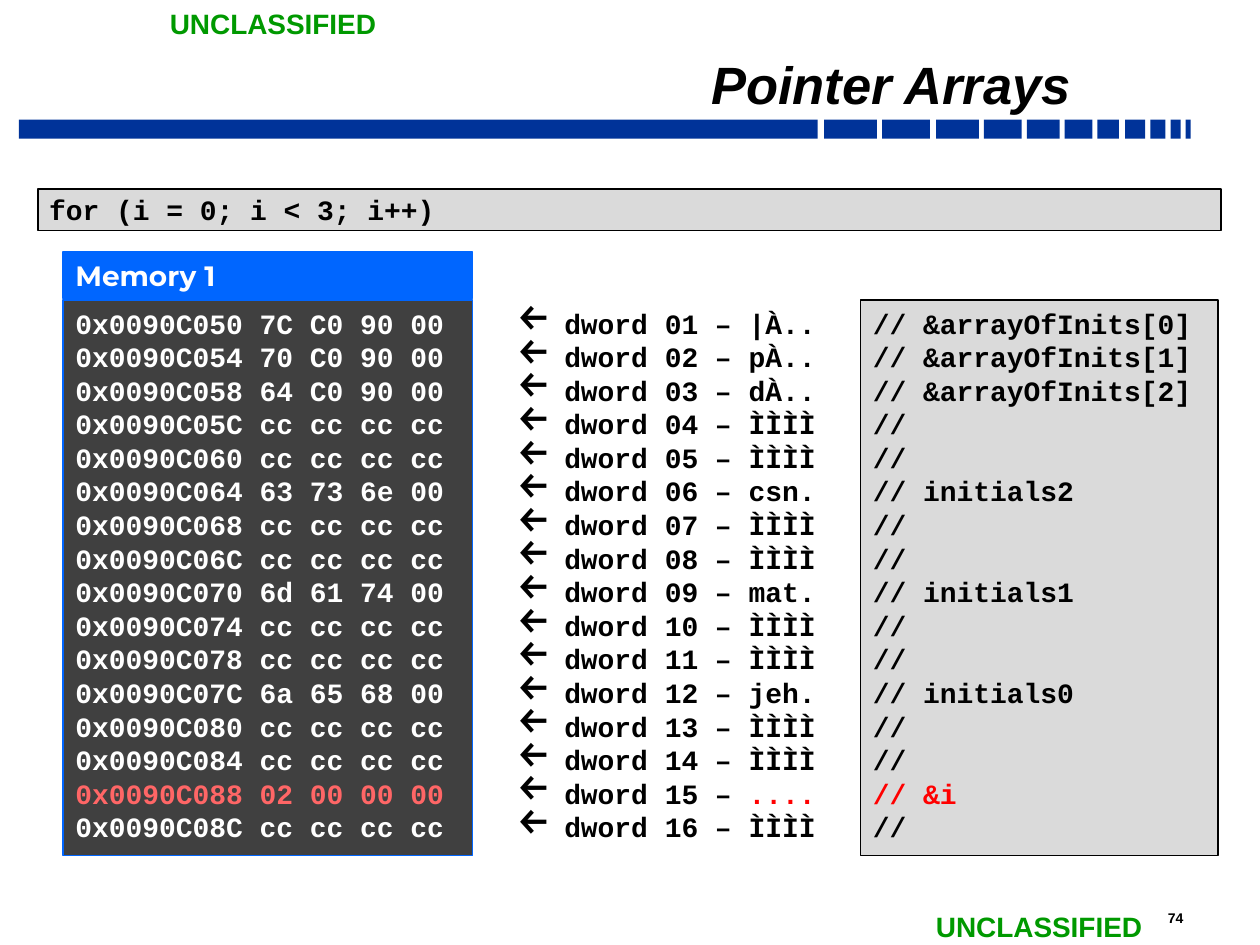
from lxml.etree import SubElement
from pptx import Presentation
from pptx.dml.color import RGBColor
from pptx.enum.shapes import MSO_SHAPE
from pptx.enum.text import MSO_ANCHOR, PP_ALIGN
from pptx.oxml.ns import qn
from pptx.util import Inches, Pt

BLACK = RGBColor(0x00, 0x00, 0x00)
WHITE = RGBColor(0xFF, 0xFF, 0xFF)
GREEN = RGBColor(0x00, 0x99, 0x00)
NAVY = RGBColor(0x00, 0x33, 0x99)
BLUE = RGBColor(0x00, 0x66, 0xFF)
DARK = RGBColor(0x40, 0x40, 0x40)
GRAY = RGBColor(0xDA, 0xDA, 0xDA)
RED = RGBColor(0xFF, 0x00, 0x00)
LIGHT_RED = RGBColor(0xFF, 0x66, 0x66)

TITLE = "Pointer Arrays"
MARKING = "UNCLASSIFIED"
PAGE = "74"
CODE = "for (i = 0; i < 3; i++)"
FIRST_ADDRESS = 0x0090C050
HIGHLIGHT = 14  # row that holds i
FILLER = ("cc cc cc cc", "ÌÌÌÌ", "")
DWORDS = [  # bytes, characters, comment
    ("7C C0 90 00", "|À..", "&arrayOfInits[0]"),
    ("70 C0 90 00", "pÀ..", "&arrayOfInits[1]"),
    ("64 C0 90 00", "dÀ..", "&arrayOfInits[2]"),
    FILLER, FILLER,
    ("63 73 6e 00", "csn.", "initials2"),
    FILLER, FILLER,
    ("6d 61 74 00", "mat.", "initials1"),
    FILLER, FILLER,
    ("6a 65 68 00", "jeh.", "initials0"),
    FILLER, FILLER,
    ("02 00 00 00", "....", "&i"),
    FILLER,
]
BARS = [  # left, width
    (0.15, 6.34), (6.54, 0.42), (7, 0.38), (7.43, 0.34), (7.81, 0.3), (8.15, 0.26),
    (8.45, 0.22), (8.71, 0.17), (8.93, 0.16), (9.13, 0.12), (9.29, 0.08), (9.41, 0.04),
]

MONO = dict(name="Courier New", size=Pt(16), bold=True)
LABEL = dict(name="Arial", size=Pt(16), bold=True)
ROWS_TOP, ROWS_HEIGHT = 2.38, 4.41
LINE_PITCH = Pt(19.2)


def add_rect(slide, box, fill, line=None, width=1):
    sp = slide.shapes.add_shape(MSO_SHAPE.RECTANGLE, *map(Inches, box))
    sp.shadow.inherit = False
    sp.fill.solid()
    sp.fill.fore_color.rgb = fill
    if line is None:
        sp.line.fill.background()
    else:
        sp.line.color.rgb = line
        sp.line.width = Pt(width)
    return sp


def add_text_box(slide, box, wrap=True):
    s = slide.shapes.add_textbox(*map(Inches, box))
    s.text_frame.word_wrap = wrap
    return s


def add_run(p, text, color, font):
    r = p.add_run()
    r.text = text
    for key, value in font.items():
        setattr(r.font, key, value)
    r.font.color.rgb = color


def add_arrow_bullet(p):
    pPr = p._p.get_or_add_pPr()
    pPr.set("marL", str(Inches(0.38)))
    pPr.set("indent", str(-Inches(0.38)))
    color = SubElement(pPr, qn("a:buClr"))
    SubElement(color, qn("a:srgbClr"), val=str(BLACK))
    SubElement(pPr, qn("a:buSzPct"), val="150000")
    SubElement(pPr, qn("a:buChar"), char="←")


def write_lines(s, lines, anchor=MSO_ANCHOR.TOP, font=MONO, pitch=None, bullet=False):
    """Each line is a list of (text, colour) runs."""
    tf = s.text_frame
    tf.vertical_anchor = anchor
    for i, runs in enumerate(lines):
        p = tf.add_paragraph() if i else tf.paragraphs[0]
        p.alignment = PP_ALIGN.LEFT
        if pitch:
            p.line_spacing = pitch
        if bullet:
            add_arrow_bullet(p)
        for text, color in runs:
            add_run(p, text, color, font)


def add_title(slide):
    title = slide.shapes.title
    title.left, title.top, title.width, title.height = map(Inches, (1.67, 0.35, 6.92, 0.59))
    tf = title.text_frame
    tf.vertical_anchor = MSO_ANCHOR.BOTTOM
    tf.margin_left = tf.margin_right = Inches(0.09)
    tf.margin_top = tf.margin_bottom = Inches(0.04)
    p = tf.paragraphs[0]
    p.alignment = PP_ALIGN.RIGHT
    p.line_spacing = 0.7
    add_run(p, TITLE, BLACK, dict(name="Arial", size=Pt(30), bold=True, italic=True))


def main():
    prs = Presentation()
    prs.slide_width, prs.slide_height = Inches(10), Inches(7.5)
    slide = prs.slides.add_slide(prs.slide_layouts[5])

    for left, width in BARS:
        add_rect(slide, (left, 0.95, width, 0.15), NAVY)
    write_lines(add_text_box(slide, (9.17, 7.17, 0.54, 0.23)), [[(PAGE, BLACK)]],
                font=dict(LABEL, size=Pt(8)))
    for left, top in ((1.25, 0), (7.33, 7.17)):
        write_lines(add_text_box(slide, (left, top, 1.86, 0.37), wrap=False),
                    [[(MARKING, GREEN)]], font=LABEL)
    add_title(slide)

    memory, notes, comments = [], [], []
    for i, (data, chars, comment) in enumerate(DWORDS):
        hot = i == HIGHLIGHT
        memory.append([(f"0x{FIRST_ADDRESS + 4 * i:08X} {data}", LIGHT_RED if hot else WHITE)])
        notes.append([(f"dword {i + 1:02d} – ", BLACK), (chars, RED if hot else BLACK)])
        comments.append([(f"// {comment}".strip(), RED if hot else BLACK)])

    write_lines(add_rect(slide, (0.5, 2, 3.25, 0.37), BLUE, BLUE, 0.75), [[("Memory 1", WHITE)]],
                MSO_ANCHOR.MIDDLE, dict(LABEL, name="Montserrat"))
    write_lines(add_rect(slide, (0.5, ROWS_TOP, 3.25, ROWS_HEIGHT), DARK, BLUE, 0.75),
                memory, pitch=LINE_PITCH)
    write_lines(add_text_box(slide, (4, ROWS_TOP, 5.68, ROWS_HEIGHT)),
                notes, pitch=LINE_PITCH, bullet=True)
    code = add_rect(slide, (0.3, 1.5, 9.39, 0.33), GRAY, BLACK)
    write_lines(code, [[(CODE, BLACK)]], MSO_ANCHOR.MIDDLE)
    code.text_frame.margin_left = Inches(0.09)
    code.text_frame.margin_top = code.text_frame.margin_bottom = Inches(0.04)
    write_lines(add_rect(slide, (6.83, ROWS_TOP, 2.84, ROWS_HEIGHT), GRAY, BLACK),
                comments, pitch=LINE_PITCH)

    prs.save("out.pptx")


if __name__ == "__main__":
    main()
